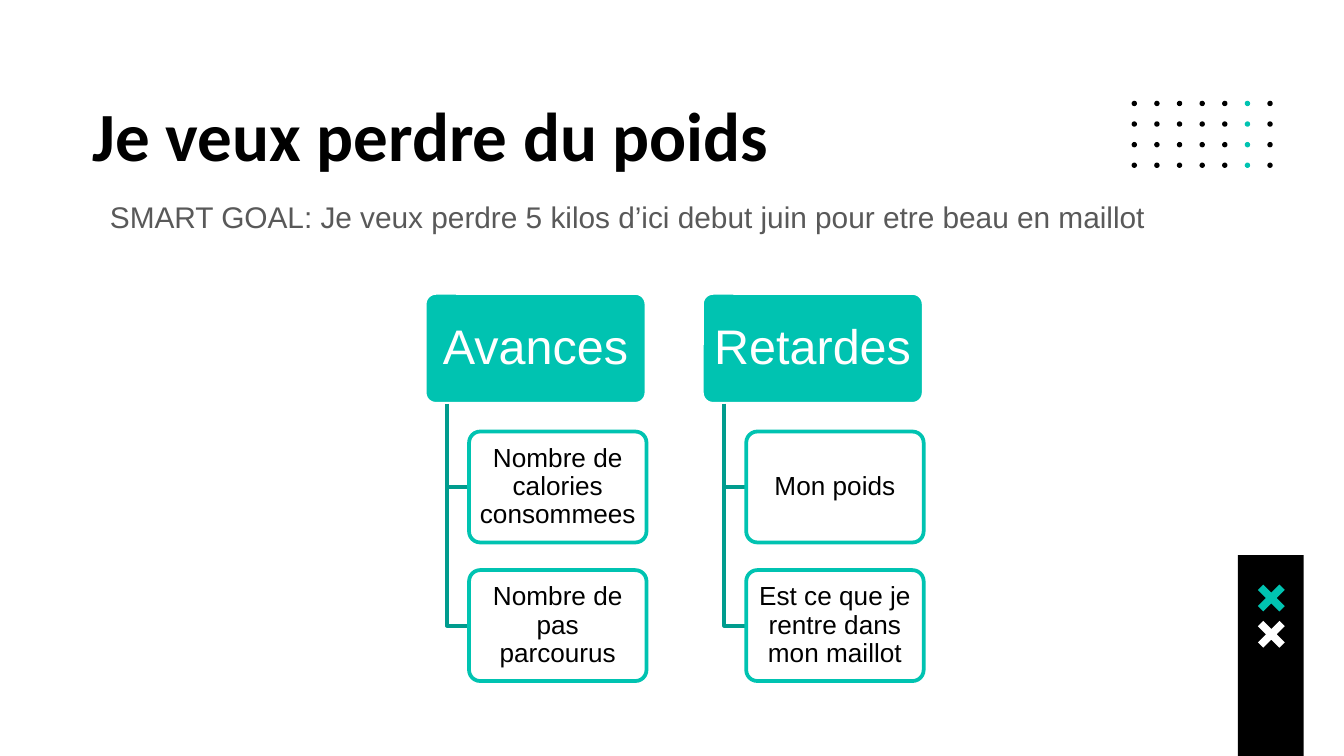
from lxml.etree import SubElement
from pptx import Presentation
from pptx.dml.color import RGBColor
from pptx.enum.shapes import MSO_SHAPE as SHAPE
from pptx.enum.text import MSO_ANCHOR as ANCHOR, PP_ALIGN as ALIGN
from pptx.oxml.ns import qn
from pptx.util import Inches, Pt

BLACK = RGBColor(0x00, 0x00, 0x00)
WHITE = RGBColor(0xFF, 0xFF, 0xFF)
GREY = RGBColor(0x59, 0x59, 0x59)
TEAL = RGBColor(0x00, 0xC3, 0xB1)
DARK_TEAL = RGBColor(0x00, 0x9C, 0x8E)


def write(sp, text, size, color, font="Arial", bold=False, align=ALIGN.LEFT,
          anchor=ANCHOR.TOP, spacing=1.0, inset=(0.1, 0.1), indent=0):
    tf = sp.text_frame
    tf.word_wrap = True
    tf.vertical_anchor = anchor
    tf.margin_left = tf.margin_right = Inches(inset[0])
    tf.margin_top = tf.margin_bottom = Inches(inset[1])
    p = tf.paragraphs[0]
    p.alignment = align
    p.line_spacing = spacing
    if indent:
        p._p.get_or_add_pPr().set("marL", str(Inches(indent)))
    r = p.add_run()
    r.text = text
    r.font.name, r.font.size, r.font.bold = font, Pt(size), bold
    r.font.color.rgb = color


def paint(sp, fill=None, line=None):
    sp.shadow.inherit = False
    if fill is None:
        sp.fill.background()
    else:
        sp.fill.solid()
        sp.fill.fore_color.rgb = fill
    if line is None:
        sp.line.fill.background()
    else:
        sp.line.color.rgb = line
        sp.line.width = Pt(2)


prs = Presentation()
prs.slide_width = Inches(10)
prs.slide_height = prs.slide_width * 9 // 16
s = prs.slides.add_slide(prs.slide_layouts[6])

# Dot grid: 7 columns by 4 rows, sixth column in teal
DOT = Inches(0.04)
for row in range(4):
    for col in range(7):
        sp = s.shapes.add_shape(SHAPE.OVAL, Inches(8.42) + col * Inches(1.01) // 6,
                                Inches(0.75) + row * Inches(0.46) // 3, DOT, DOT)
        paint(sp, TEAL if col == 5 else BLACK)

# Black bar with two crosses
BAR_TOP = Inches(4.13)
sp = s.shapes.add_shape(SHAPE.RECTANGLE, Inches(9.21), BAR_TOP,
                        Inches(0.49), prs.slide_height - BAR_TOP)
paint(sp, BLACK)

CROSS = [(4, 0), (0, 4), (6, 10), (0, 16), (4, 20), (10, 14),
         (16, 20), (20, 16), (14, 10), (20, 4), (16, 0), (10, 6)]
for top, color in ((4.35, TEAL), (4.62, WHITE)):
    points = [(Inches(9.36 + x / 100), Inches(top + y / 100)) for x, y in CROSS]
    outline = s.shapes.build_freeform(*points[0])
    outline.add_line_segments(points[1:], close=True)
    paint(outline.convert_to_shape(), color)

# Title and goal
sp = s.shapes.add_textbox(Inches(0.59), Inches(0.59), Inches(8.86), Inches(0.79))
write(sp, "Je veux perdre du poids", 37, BLACK, font="Calibri", bold=True)
sp = s.shapes.add_textbox(Inches(0.55), Inches(1.38), Inches(8.86), Inches(0.35))
write(sp, "SMART GOAL: Je veux perdre 5 kilos d’ici debut juin pour etre beau en maillot",
      16, GREY, indent=0.17)

# Indicator trees: one column per kind, one row per box
TREES = [
    ("Avances", ["Nombre de calories consommees", "Nombre de pas parcourus"]),
    ("Retardes", ["Mon poids", "Est ce que je rentre dans mon maillot"]),
]
LEFT, TOP = Inches(3.16), Inches(2.18)
BOX_W = Inches(1.65)
BOX_H = BOX_W // 2
COL_STEP, ROW_STEP = BOX_W * 5 // 4, BOX_H * 5 // 4
INDENT = BOX_W // 5

for col, (heading, measures) in enumerate(TREES):
    x = LEFT + col * COL_STEP
    sp = s.shapes.add_shape(SHAPE.ROUNDED_RECTANGLE, x, TOP, BOX_W, BOX_H)
    sp.adjustments[0] = 0.1
    paint(sp, TEAL, WHITE)
    write(sp, heading, 26, WHITE, align=ALIGN.CENTER, anchor=ANCHOR.MIDDLE,
          spacing=0.9, inset=(0.05, 0.04))

    for row, measure in enumerate(measures, start=1):
        y = TOP + row * ROW_STEP
        trunk, middle = x + INDENT // 2, y + BOX_H // 2
        branch = s.shapes.build_freeform(trunk, TOP + BOX_H)
        branch.add_line_segments([(trunk, middle), (x + INDENT, middle)], close=False)
        paint(branch.convert_to_shape(), line=DARK_TEAL)

        sp = s.shapes.add_shape(SHAPE.ROUNDED_RECTANGLE, x + INDENT, y,
                                BOX_W - INDENT, BOX_H)
        sp.adjustments[0] = 0.1
        paint(sp, WHITE, TEAL)
        fill_color = sp._element.spPr.find(qn("a:solidFill"))[0]
        SubElement(fill_color, qn("a:alpha")).set("val", "90000")
        write(sp, measure, 14, BLACK, align=ALIGN.CENTER, anchor=ANCHOR.MIDDLE,
              spacing=0.9, inset=(0.03, 0.02))

prs.save("out.pptx")
